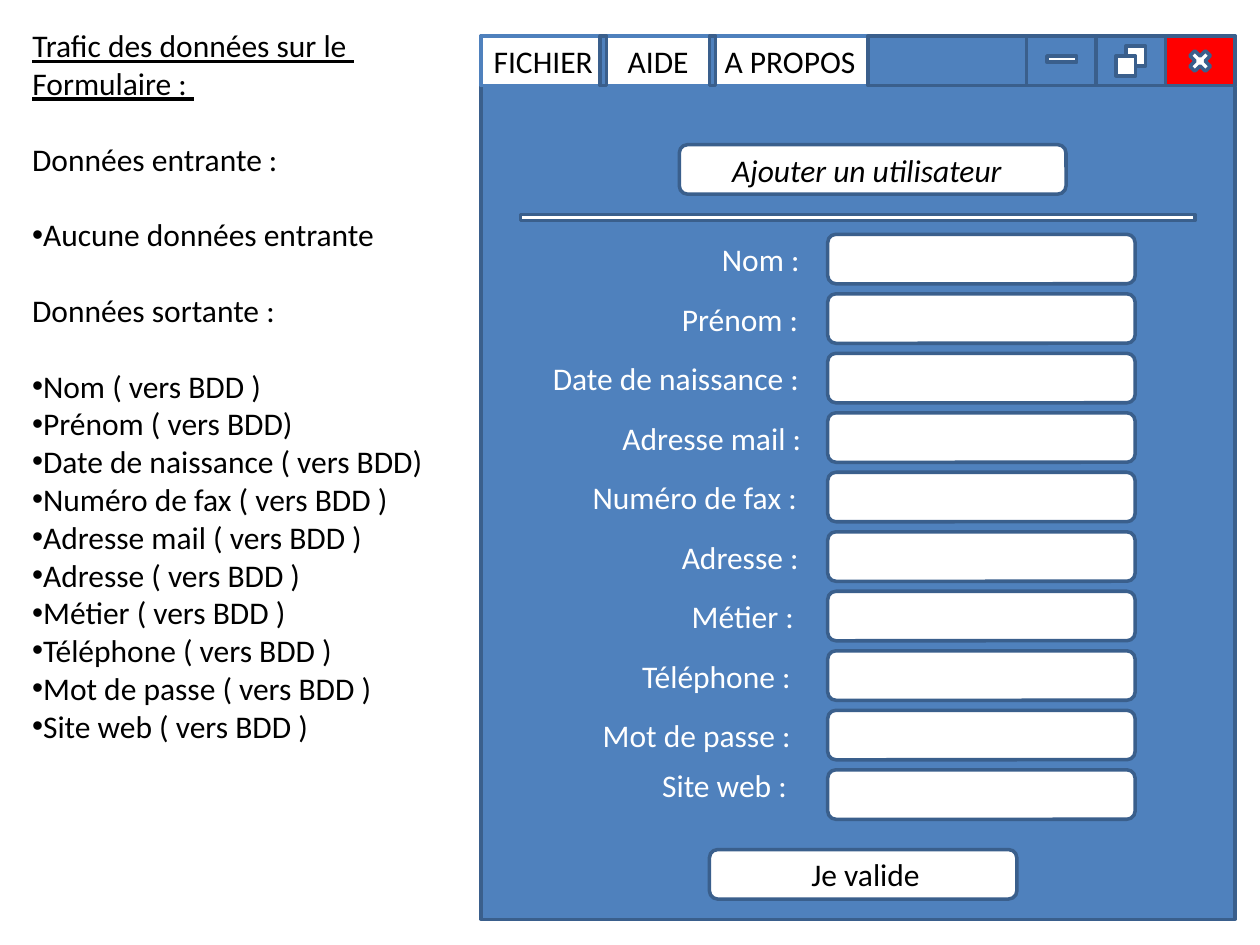
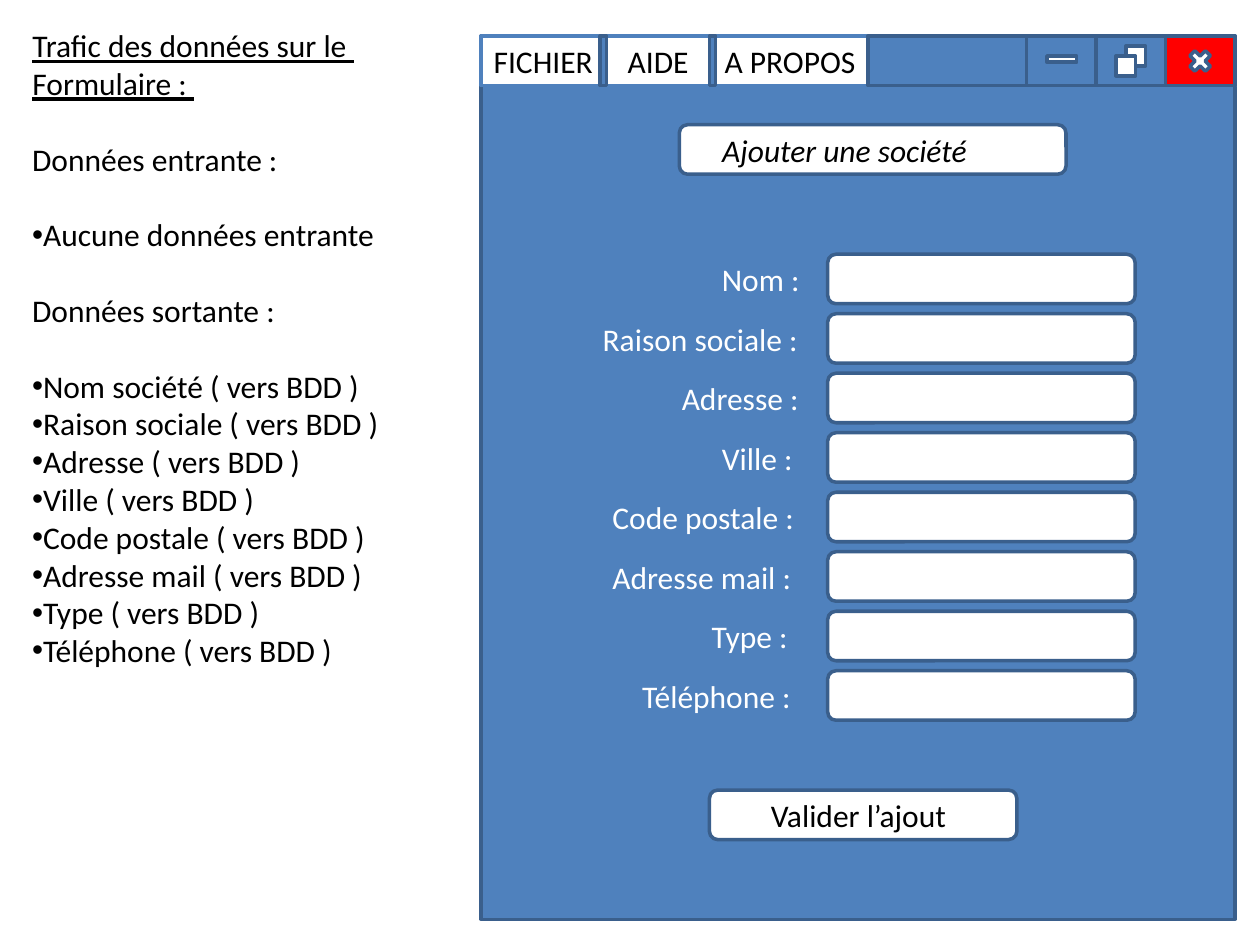
import lxml.etree
import pptx
import pptx.dml.color
import pptx.enum.shapes
import pptx.enum.text
import pptx.oxml.ns
import pptx.util

Pt = pptx.util.Pt
RGBColor = pptx.dml.color.RGBColor
SHAPES = pptx.enum.shapes.MSO_SHAPE
ANCHOR = pptx.enum.text.MSO_ANCHOR
LEFT = pptx.enum.text.PP_ALIGN.LEFT

BLUE = RGBColor(0x4F, 0x81, 0xBD)
DARK_BLUE = RGBColor(0x3A, 0x5F, 0x8C)
RED = RGBColor(0xFF, 0x00, 0x00)
WHITE = RGBColor(0xFF, 0xFF, 0xFF)
BLACK = RGBColor(0x00, 0x00, 0x00)

FONT = "Calibri"
FONT_SIZE = 18
LINE_HEIGHT = 21.6
BAR_HEIGHT = 28.3
ROW_PITCH = 34
FIELD_LEFT = 198
FIELD_WIDTH = 175.7
NOTES_BOX = (11.3, 11.5, 240.5, 422)
WINDOW_BOX = (275, 20.7, 430.6, 504.7)

USER_FORM = {
    "heading": ("Ajouter un utilisateur", 62, 28.8),
    "divider": True,
    "first_row": 113.2,
    "labels": [
        ("Nom :", 130.4, 0), ("Prénom :", 107.5, 0), ("Date de naissance :", 33.8, 0),
        ("Adresse mail :", 73.6, 0), ("Numéro de fax :", 56.6, 0), ("Adresse :", 107.5, 0),
        ("Métier :", 113.2, 0), ("Téléphone :", 84.9, 0), ("Mot de passe :", 62.3, 0),
        ("Site web :", 96.3, -5.7),
    ],
    "submit": ("Je valide", 464.8, 56.9),
    "outputs": [
        "Nom ( vers BDD )", "Prénom ( vers BDD)", "Date de naissance ( vers BDD)",
        "Numéro de fax ( vers BDD )", "Adresse mail ( vers BDD )", "Adresse ( vers BDD )",
        "Métier ( vers BDD )", "Téléphone ( vers BDD )", "Mot de passe ( vers BDD )",
        "Site web ( vers BDD )",
    ],
}
COMPANY_FORM = {
    "heading": ("Ajouter une société", 50.6, 23.1),
    "divider": False,
    "first_row": 124.6,
    "labels": [
        ("Nom :", 130.4, 0), ("Raison sociale :", 62.3, 0), ("Adresse :", 107.5, 0),
        ("Ville :", 130.4, 0), ("Code postale :", 67.9, 0), ("Adresse mail :", 67.9, 0),
        ("Type :", 124.6, 0), ("Téléphone :", 84.9, 0),
    ],
    "submit": ("Valider l’ajout", 430.8, 33.8),
    "outputs": [
        "Nom société ( vers BDD )", "Raison sociale ( vers BDD )", "Adresse ( vers BDD )",
        "Ville ( vers BDD )", "Code postale ( vers BDD )", "Adresse mail ( vers BDD )",
        "Type ( vers BDD )", "Téléphone ( vers BDD )",
    ],
}


def style_paragraph(paragraph, color=BLACK, italic=False, underline=False):
    """Apply the common type style to a paragraph."""
    paragraph.alignment = LEFT
    font = paragraph.font
    font.name, font.size = FONT, Pt(FONT_SIZE)
    font.color.rgb = color
    font.italic, font.underline = italic, underline


def add_property(paragraph, tag, **attributes):
    """Append a child element to the paragraph properties and return it."""
    properties = paragraph._p.get_or_add_pPr()
    return lxml.etree.SubElement(properties, pptx.oxml.ns.qn(tag), **attributes)


def add_box(slide, left, top, width, height, fill=WHITE, line=DARK_BLUE, kind=SHAPES.RECTANGLE):
    """Draw a filled and outlined shape."""
    shape = slide.shapes.add_shape(kind, Pt(left), Pt(top), Pt(width), Pt(height))
    shape.shadow.inherit = False
    shape.fill.solid()
    shape.fill.fore_color.rgb = fill
    shape.line.color.rgb = line
    shape.line.width = Pt(2)
    return shape


def add_rounded_box(slide, left, top, width, text="", indent=0, italic=False):
    """Draw a white rounded box, with its text indented from the left."""
    shape = add_box(slide, left, top, width, BAR_HEIGHT, kind=SHAPES.ROUNDED_RECTANGLE)
    if text:
        frame = shape.text_frame
        frame.margin_left = Pt(indent)
        frame.margin_top = frame.margin_bottom = 0
        frame.vertical_anchor = ANCHOR.MIDDLE
        frame.text = text
        style_paragraph(frame.paragraphs[0], italic=italic)


def add_text_frame(slide, left, top, width, height):
    """Add a wrapping text box and return its frame."""
    frame = slide.shapes.add_textbox(Pt(left), Pt(top), Pt(width), Pt(height)).text_frame
    frame.word_wrap = True
    return frame


def add_notes(slide, box, outputs):
    """Place the title and the lists of incoming and outgoing data."""
    left, top, width, height = box
    title = slide.shapes.title
    title_height = 2 * LINE_HEIGHT + 7.2
    title.left, title.top, title.width, title.height = map(Pt, (left, top, width, title_height))
    frame = title.text_frame
    frame.auto_size = pptx.enum.text.MSO_AUTO_SIZE.NONE
    frame.vertical_anchor = ANCHOR.TOP
    frame.text = "Trafic des données sur le \nFormulaire : "
    for paragraph in frame.paragraphs:
        style_paragraph(paragraph, underline=True)

    list_offset = 3 * LINE_HEIGHT
    frame = add_text_frame(slide, left, top + list_offset, width, height - list_offset)
    sections = [("Données entrante :", ["Aucune données entrante"]), ("Données sortante :", outputs)]
    frame.text = "\n".join("\n".join([heading, *items]) for heading, items in sections)
    paragraphs = iter(frame.paragraphs)
    for section_index, (_, items) in enumerate(sections):
        heading = next(paragraphs)
        if section_index:
            heading.space_before = Pt(LINE_HEIGHT)
        style_paragraph(heading)
        for item_index in range(len(items)):
            paragraph = next(paragraphs)
            if item_index == 0:
                paragraph.space_before = Pt(LINE_HEIGHT)
            add_property(paragraph, "a:buFont", typeface="Arial")
            add_property(paragraph, "a:buChar", char="•")
            style_paragraph(paragraph)


def add_title_bar(slide, left, top, width):
    """Draw the menu and the three window buttons."""
    add_box(slide, left, top, width, BAR_HEIGHT, line=BLUE)
    button_width = 39.7
    right = left + width
    for position, fill in enumerate((RED, BLUE, BLUE), start=1):
        add_box(slide, right - position * button_width, top, button_width, BAR_HEIGHT, fill)
    add_box(slide, right - 107.3, top + 11.3, 17, 3.6)
    add_box(slide, right - 28.3, top + 5.7, 17, 17, kind=SHAPES.MATH_MULTIPLY)
    add_box(slide, right - 62.3, top + 5.7, 11.3, 11.3)
    add_box(slide, right - 68, top + 11.3, 11.3, 11.3)

    buttons_left = width - 3 * button_width
    frame = add_text_frame(slide, left, top, buttons_left, BAR_HEIGHT)
    frame.text = "FICHIER\tAIDE\tA PROPOS"
    paragraph = frame.paragraphs[0]
    tabs = add_property(paragraph, "a:tabLst")
    for position in (76.6, 132):
        lxml.etree.SubElement(tabs, pptx.oxml.ns.qn("a:tab"), pos=str(Pt(position)), algn="l")
    style_paragraph(paragraph)
    add_box(slide, left + 221, top, buttons_left - 221, BAR_HEIGHT, BLUE)
    for separator in (68, 130.4):
        add_box(slide, left + separator, top, 3.6, BAR_HEIGHT, BLUE)


def add_window(slide, box, form):
    """Draw the form window with its heading, fields and submit button."""
    left, top, width, height = box
    add_box(slide, left, top, width, height, BLUE)
    add_title_bar(slide, left, top, width)
    heading, heading_top, indent = form["heading"]
    add_rounded_box(slide, left + 113.2, top + heading_top, 221, heading, indent, italic=True)
    if form["divider"]:
        add_box(slide, left + 22.5, top + 101.8, 385.4, 3.6)
    for row, (label, label_left, shift) in enumerate(form["labels"]):
        row_top = top + form["first_row"] + row * ROW_PITCH
        add_rounded_box(slide, left + FIELD_LEFT, row_top, FIELD_WIDTH)
        frame = add_text_frame(
            slide, left + label_left, row_top + shift, FIELD_LEFT - label_left, BAR_HEIGHT)
        frame.text = label
        style_paragraph(frame.paragraphs[0], WHITE)
    submit, submit_top, indent = form["submit"]
    add_rounded_box(slide, left + 130.4, top + submit_top, FIELD_WIDTH, submit, indent)


def add_form_slide(presentation, form):
    """Add a slide with the data notes beside the form window."""
    slide = presentation.slides.add_slide(presentation.slide_layouts.get_by_name("Title Only"))
    add_notes(slide, NOTES_BOX, form["outputs"])
    add_window(slide, WINDOW_BOX, form)


def main():
    """Build and save the presentation."""
    presentation = pptx.Presentation()
    presentation.slide_width, presentation.slide_height = Pt(720), Pt(540)
    for form in (USER_FORM, COMPANY_FORM):
        add_form_slide(presentation, form)
    presentation.save("out.pptx")


if __name__ == "__main__":
    main()
